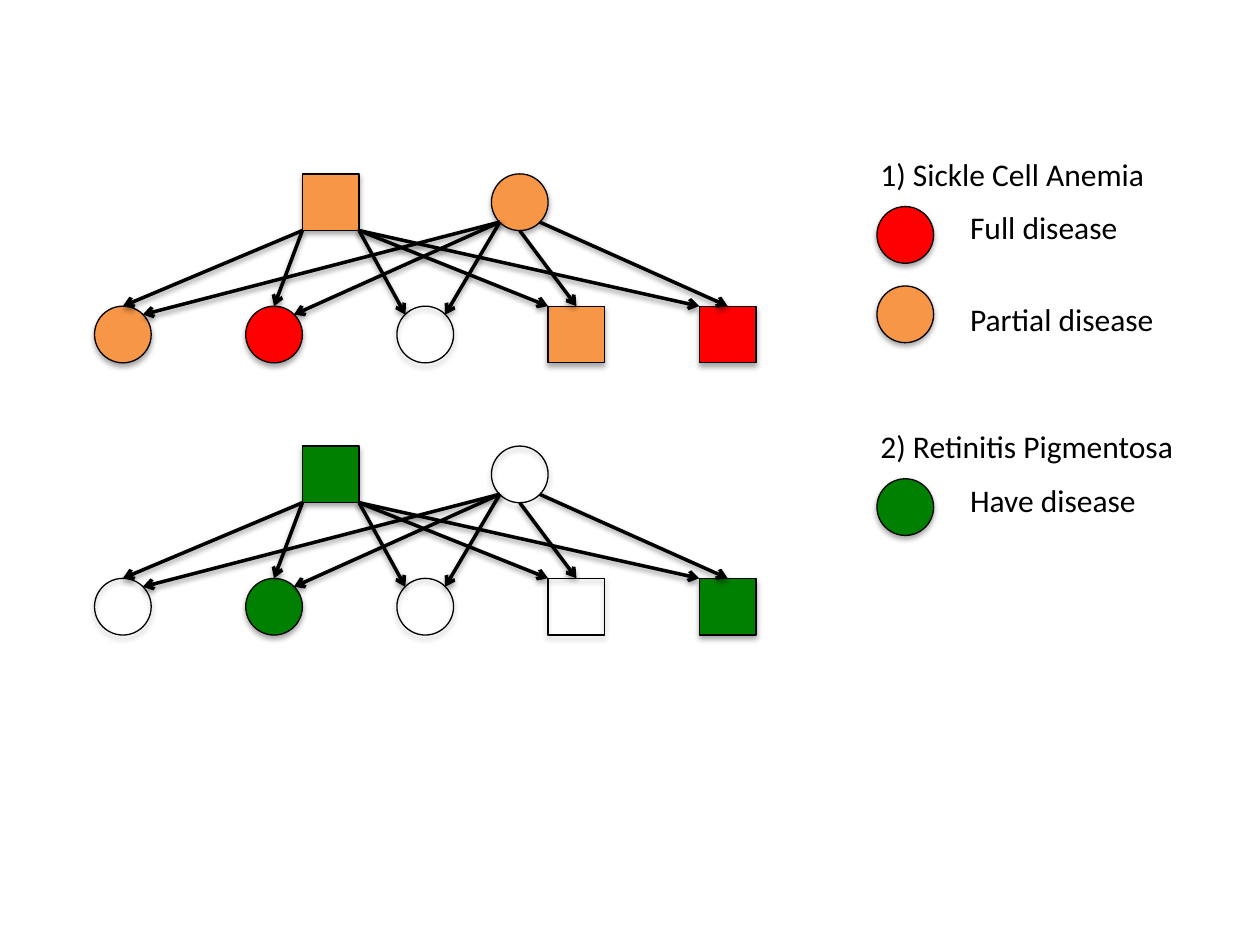
from lxml.etree import SubElement
from pptx import Presentation
from pptx.dml.color import RGBColor
from pptx.enum.shapes import MSO_CONNECTOR as Connector, MSO_SHAPE as Shape
from pptx.enum.text import MSO_AUTO_SIZE as AutoSize
from pptx.oxml.ns import qn
from pptx.util import Inches, Pt

BLACK = RGBColor(0x00, 0x00, 0x00)
RED = RGBColor(0xFF, 0x00, 0x00)
ORANGE = RGBColor(0xF7, 0x96, 0x46)
GREEN = RGBColor(0x00, 0x80, 0x00)

SQUARE, CIRCLE = Shape.RECTANGLE, Shape.OVAL
MARKER = 3
FATHER_COLUMN, MOTHER_COLUMN = 16, 26
CHILD_COLUMNS = range(5, 38, 8)
CHILD_SHAPES = (CIRCLE, CIRCLE, CIRCLE, SQUARE, SQUARE)
CHILD_DROP = 7
HEADING_COLUMN, KEY_COLUMN, LABEL_COLUMN = 45.93, 46.4, 50.67

TOP, BOTTOM = (0.5, 0), (0.5, 1)
LEFT_TOP, LEFT_BOTTOM, RIGHT_BOTTOM = (0, 0), (0, 1), (1, 1)
ARC_LEFT_TOP, ARC_RIGHT_TOP = (0.15, 0.15), (0.85, 0.15)
ARC_LEFT_BOTTOM, ARC_RIGHT_BOTTOM = (0.15, 0.85), (0.85, 0.85)
FATHER_ARROWS = (
    (LEFT_BOTTOM, TOP), (LEFT_BOTTOM, TOP), (RIGHT_BOTTOM, ARC_LEFT_TOP),
    (RIGHT_BOTTOM, LEFT_TOP), (RIGHT_BOTTOM, LEFT_TOP),
)
MOTHER_ARROWS = (
    (ARC_LEFT_BOTTOM, ARC_RIGHT_TOP), (ARC_LEFT_BOTTOM, ARC_RIGHT_TOP),
    (ARC_LEFT_BOTTOM, ARC_RIGHT_TOP), (BOTTOM, TOP), (ARC_RIGHT_BOTTOM, TOP),
)


class PedigreeSlide:
    """Draws family trees and their keys on a grid of 0.15 inch cells."""

    font = "Calibri"
    text_size = Pt(18)
    outline = Pt(0.75)
    arrow_width = Pt(2)

    def __init__(self, presentation):
        self.slide = presentation.slides.add_slide(presentation.slide_layouts[6])

    def cells(self, *counts):
        return [Inches(0.15 * count) for count in counts]

    def shadow(self, element, distance, opacity):
        effects = SubElement(element.spPr, qn("a:effectLst"))
        outer = SubElement(effects, qn("a:outerShdw"), blurRad="40000",
                           dist=str(distance), dir="5400000", rotWithShape="0")
        color = SubElement(outer, qn("a:srgbClr"), val=str(BLACK))
        SubElement(color, qn("a:alpha"), val=str(opacity * 1000))

    def marker(self, shapes, kind, column, row, color):
        shape = shapes.add_shape(kind, *self.cells(column, row, MARKER, MARKER))
        if color is None:
            shape.fill.background()
        else:
            shape.fill.solid()
            shape.fill.fore_color.rgb = color
        shape.line.color.rgb = BLACK
        shape.line.width = self.outline
        self.shadow(shape._element, 23000, 35)

    def arrow(self, shapes, parent, child, anchors):
        ends = [start + MARKER * share
                for corner, anchor in zip((parent, child), anchors)
                for start, share in zip(corner, anchor)]
        connector = shapes.add_connector(Connector.STRAIGHT, *self.cells(*ends))
        connector.line.color.rgb = BLACK
        connector.line.width = self.arrow_width
        SubElement(connector.line._get_or_add_ln(), qn("a:tailEnd"), type="arrow")
        self.shadow(connector._element, 20000, 38)

    def text(self, content, column, row, width):
        box = self.slide.shapes.add_textbox(*self.cells(column, row, width, 2.67))
        frame = box.text_frame
        frame.word_wrap = False
        frame.auto_size = AutoSize.SHAPE_TO_FIT_TEXT
        run = frame.paragraphs[0].add_run()
        run.text = content
        run.font.name = self.font
        run.font.size = self.text_size
        run.font.color.rgb = BLACK

    def family(self, row, father, mother, children):
        shapes = self.slide.shapes.add_group_shape().shapes
        child_row = row + CHILD_DROP
        self.marker(shapes, SQUARE, FATHER_COLUMN, row, father)
        self.marker(shapes, CIRCLE, MOTHER_COLUMN, row, mother)
        for kind, column, color in zip(CHILD_SHAPES, CHILD_COLUMNS, children):
            self.marker(shapes, kind, column, child_row, color)
        for parent_column, arrows in ((FATHER_COLUMN, FATHER_ARROWS),
                                      (MOTHER_COLUMN, MOTHER_ARROWS)):
            for column, anchors in zip(CHILD_COLUMNS, arrows):
                self.arrow(shapes, (parent_column, row), (column, child_row), anchors)

    def key(self, row, heading, heading_width, entries):
        self.text(heading, HEADING_COLUMN, row - 1.33, heading_width)
        for color, marker_drop, label, label_drop, width in entries:
            self.marker(self.slide.shapes, CIRCLE, KEY_COLUMN, row + marker_drop, color)
            self.text(label, LABEL_COLUMN, row + label_drop, width)


presentation = Presentation()
presentation.slide_width, presentation.slide_height = Inches(10), Inches(7.5)
pedigree = PedigreeSlide(presentation)

panels = (
    (9.2, ORANGE, ORANGE, (ORANGE, RED, None, ORANGE, RED),
     "1) Sickle Cell Anemia", 15.47,
     ((RED, 1.73, "Full disease", 1.47, 9.2),
      (ORANGE, 5.93, "Partial disease", 6.33, 11.2))),
    (23.6, GREEN, None, (None, GREEN, None, None, GREEN),
     "2) Retinitis Pigmentosa", 17.07,
     ((GREEN, 1.73, "Have disease", 1.53, 10.27),)),
)
for row, father, mother, children, heading, width, entries in panels:
    pedigree.family(row, father, mother, children)
    pedigree.key(row, heading, width, entries)

presentation.save("out.pptx")
